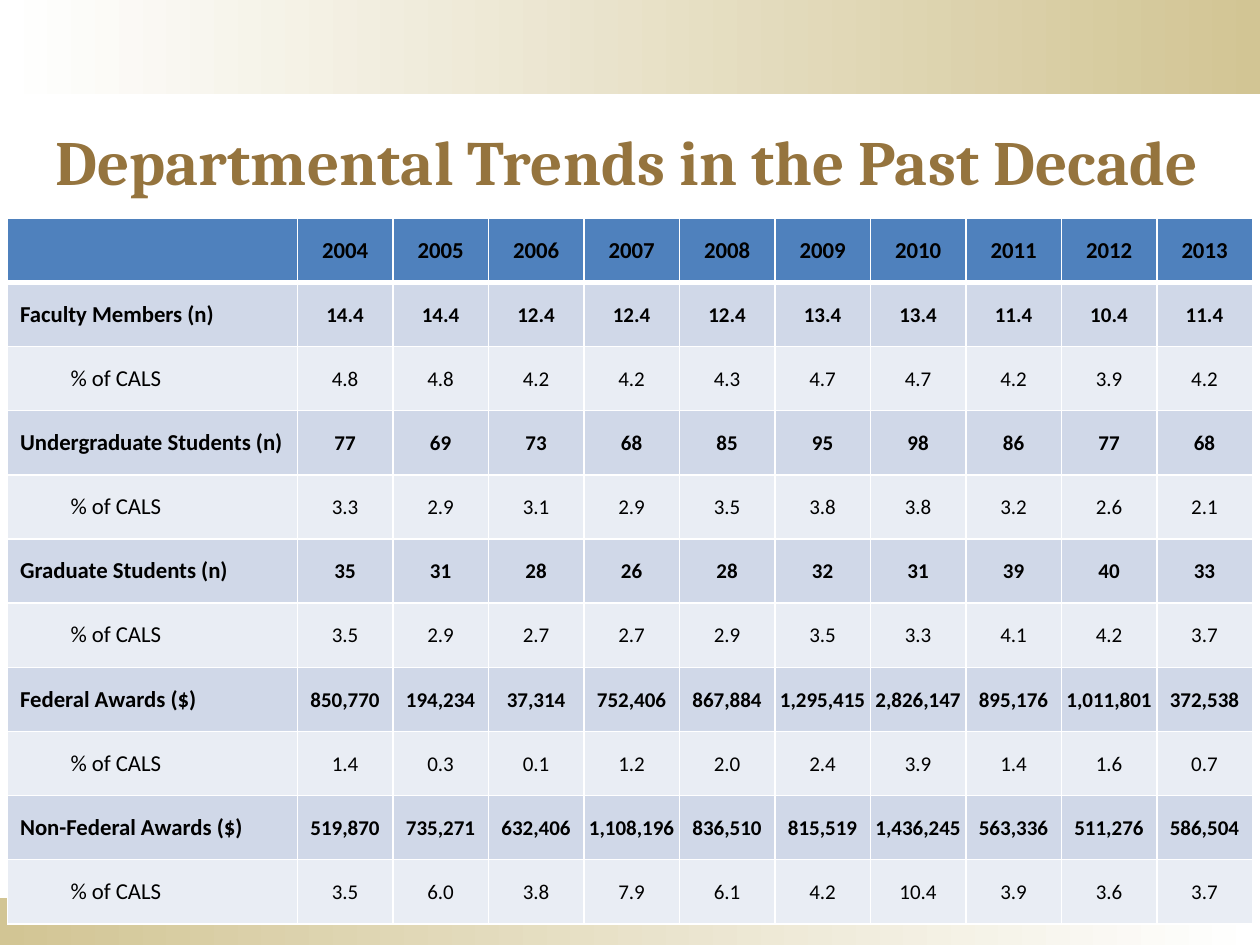
from lxml.etree import SubElement
from pptx import Presentation
from pptx.dml.color import RGBColor
from pptx.enum.shapes import MSO_SHAPE
from pptx.enum.text import MSO_ANCHOR, PP_ALIGN
from pptx.oxml.ns import qn
from pptx.util import Inches, Pt

COLORS = {
    "white": "FFFFFF",
    "gold": "D2C594",
    "title": "95743E",
    "text": "000000",
    "header": "4F81BD",
    "count_row": "D0D8E8",
    "share_row": "E9EDF4",
}
YEARS = [str(year) for year in range(2004, 2014)]
SHARE_LABEL = "% of CALS"

# Each measure: label, yearly values, yearly share of the college
MEASURES = [
    ("Faculty Members (n)",
     "14.4 14.4 12.4 12.4 12.4 13.4 13.4 11.4 10.4 11.4",
     "4.8 4.8 4.2 4.2 4.3 4.7 4.7 4.2 3.9 4.2"),
    ("Undergraduate Students (n)",
     "77 69 73 68 85 95 98 86 77 68",
     "3.3 2.9 3.1 2.9 3.5 3.8 3.8 3.2 2.6 2.1"),
    ("Graduate Students (n)",
     "35 31 28 26 28 32 31 39 40 33",
     "3.5 2.9 2.7 2.7 2.9 3.5 3.3 4.1 4.2 3.7"),
    ("Federal Awards ($)",
     "850,770 194,234 37,314 752,406 867,884 1,295,415 2,826,147 895,176 1,011,801 372,538",
     "1.4 0.3 0.1 1.2 2.0 2.4 3.9 1.4 1.6 0.7"),
    ("Non-Federal Awards ($)",
     "519,870 735,271 632,406 1,108,196 836,510 815,519 1,436,245 563,336 511,276 586,504",
     "3.5 6.0 3.8 7.9 6.1 4.2 10.4 3.9 3.6 3.7"),
]


def rgb(name):
    return RGBColor.from_string(COLORS[name])


def write_text(frame, text, font="Calibri", size=12, color="text", bold=False,
               align=PP_ALIGN.CENTER, spacing=None):
    paragraph = frame.paragraphs[0]
    paragraph.alignment = align
    run = paragraph.add_run()
    run.text = text
    run.font.name = font
    run.font.size = Pt(size)
    run.font.bold = bold
    run.font.color.rgb = rgb(color)
    if spacing is not None:
        run.font._element.set("spc", str(round(spacing * 100)))


def set_borders(cell, top=1, bottom=1):
    properties = cell._tc.get_or_add_tcPr()
    widths = {"a:lnL": 1, "a:lnR": 1, "a:lnT": top, "a:lnB": bottom}
    for position, (tag, width) in enumerate(widths.items()):
        line = SubElement(properties, qn(tag), w=str(Pt(width)))
        fill = SubElement(line, qn("a:solidFill"))
        SubElement(fill, qn("a:srgbClr"), val=COLORS["white"])
        # Borders come before the cell fill
        properties.insert(position, line)


class TrendSlide:
    """Style and slide; lengths are shares of the slide's size."""

    def __init__(self, presentation):
        self.width = presentation.slide_width
        self.height = presentation.slide_height
        self.slide = presentation.slides.add_slide(presentation.slide_layouts[6])

    def place(self, left, top, width, height):
        return (round(left * self.width), round(top * self.height),
                round(width * self.width), round(height * self.height))

    def band(self, top, height, start, end):
        shape = self.slide.shapes.add_shape(
            MSO_SHAPE.RECTANGLE, *self.place(0, top, 1, height))
        shape.shadow.inherit = False
        shape.line.fill.background()
        shape.fill.gradient()
        shape.fill.gradient_angle = 0
        for stop, name in zip(shape.fill.gradient_stops, (start, end)):
            stop.color.rgb = rgb(name)

    def title(self, text, left, top, width, height):
        frame = self.slide.shapes.add_textbox(
            *self.place(left, top, width, height)).text_frame
        frame.word_wrap = True
        frame.margin_left = frame.margin_right = 0
        frame.margin_top = frame.margin_bottom = 0
        write_text(frame, text, font="Cambria", size=36, color="title",
                   bold=True, spacing=0.1)

    def table(self, rows, left, top, width, height, label_width):
        column_count = len(rows[0])
        box = self.place(left, top, width, height)
        table = self.slide.shapes.add_table(len(rows), column_count, *box).table
        year_width = (width - label_width) / (column_count - 1)
        for index, column in enumerate(table.columns):
            column.width = round((year_width if index else label_width) * self.width)
        for index, values in enumerate(rows):
            table.rows[index].height = box[3] // len(rows)
            for column, text in enumerate(values):
                self.cell(table.cell(index, column), text, index, column)

    def cell(self, cell, text, row, column):
        is_header = row == 0
        is_share = not is_header and row % 2 == 0
        fill = "header" if is_header else "share_row" if is_share else "count_row"
        cell.fill.solid()
        cell.fill.fore_color.rgb = rgb(fill)
        set_borders(cell, top=3 if row == 1 else 1, bottom=3 if is_header else 1)
        cell.vertical_anchor = MSO_ANCHOR.MIDDLE
        if column:
            cell.margin_left = cell.margin_right = cell.margin_top = Inches(0.01)
            cell.margin_bottom = 0
        elif is_share:
            cell.margin_left = Inches(0.5)
        if text:
            write_text(cell.text_frame, text, bold=not is_share,
                       size=13 if is_header or not column else 12,
                       align=PP_ALIGN.CENTER if column else PP_ALIGN.LEFT)


def main():
    presentation = Presentation()
    presentation.slide_width = Inches(10)
    presentation.slide_height = Inches(7.5)
    trends = TrendSlide(presentation)

    # Gradient bands at the top and bottom edges
    trends.band(0, 0.1, "white", "gold")
    trends.band(0.95, 0.05, "gold", "white")

    # Title
    trends.title("Departmental Trends in the Past Decade", 0.025, 0.13, 0.946, 0.107)

    # Table: header, then a count row and a share row for each measure
    rows = [["", *YEARS]]
    for label, counts, shares in MEASURES:
        rows.append([label, *counts.split()])
        rows.append([SHARE_LABEL, *shares.split()])
    trends.table(rows, 0.006, 0.231, 0.988, 0.747, label_width=0.23)

    presentation.save("out.pptx")


if __name__ == "__main__":
    main()
